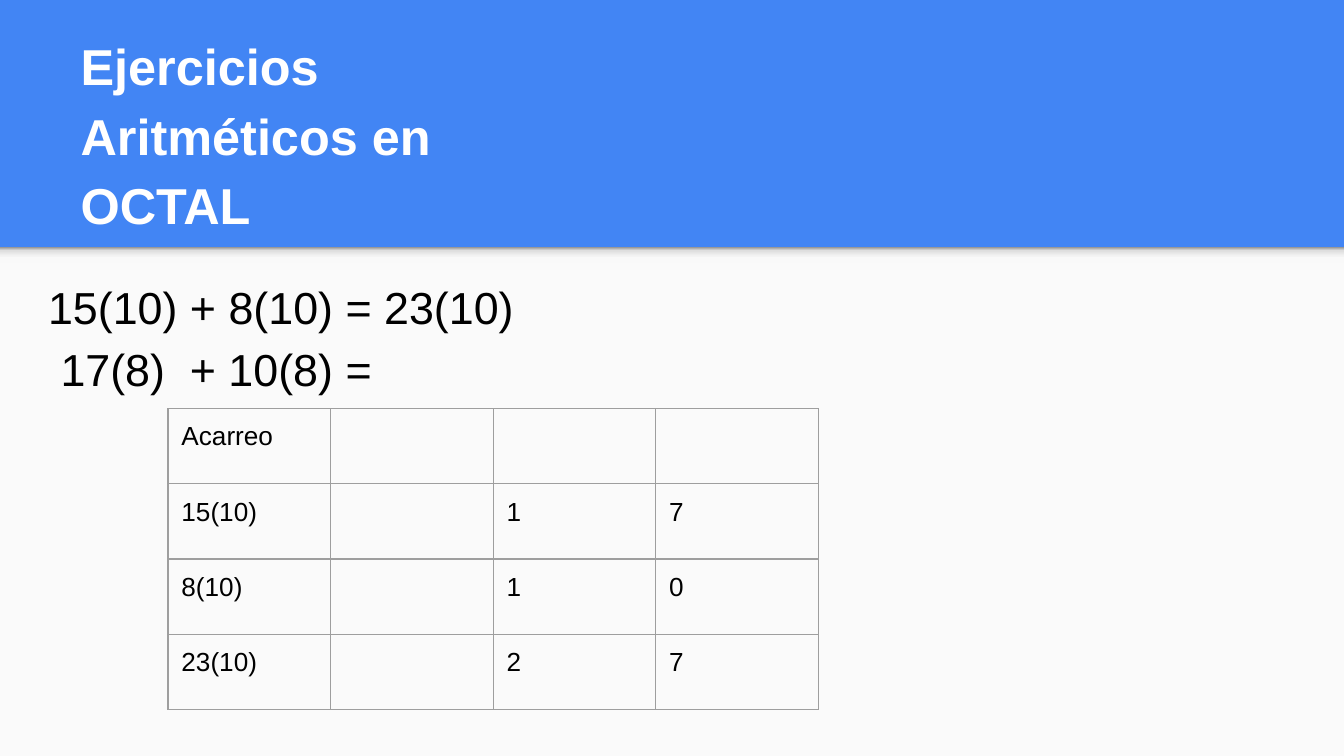
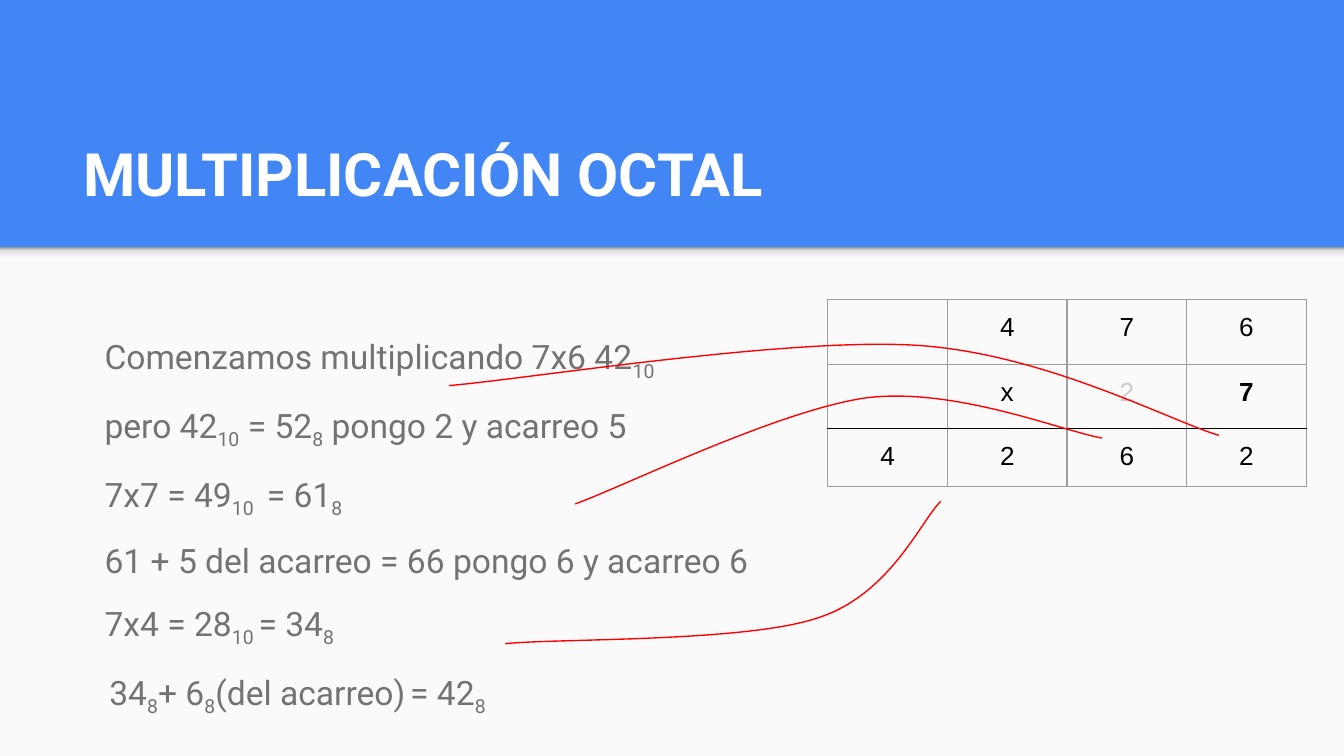
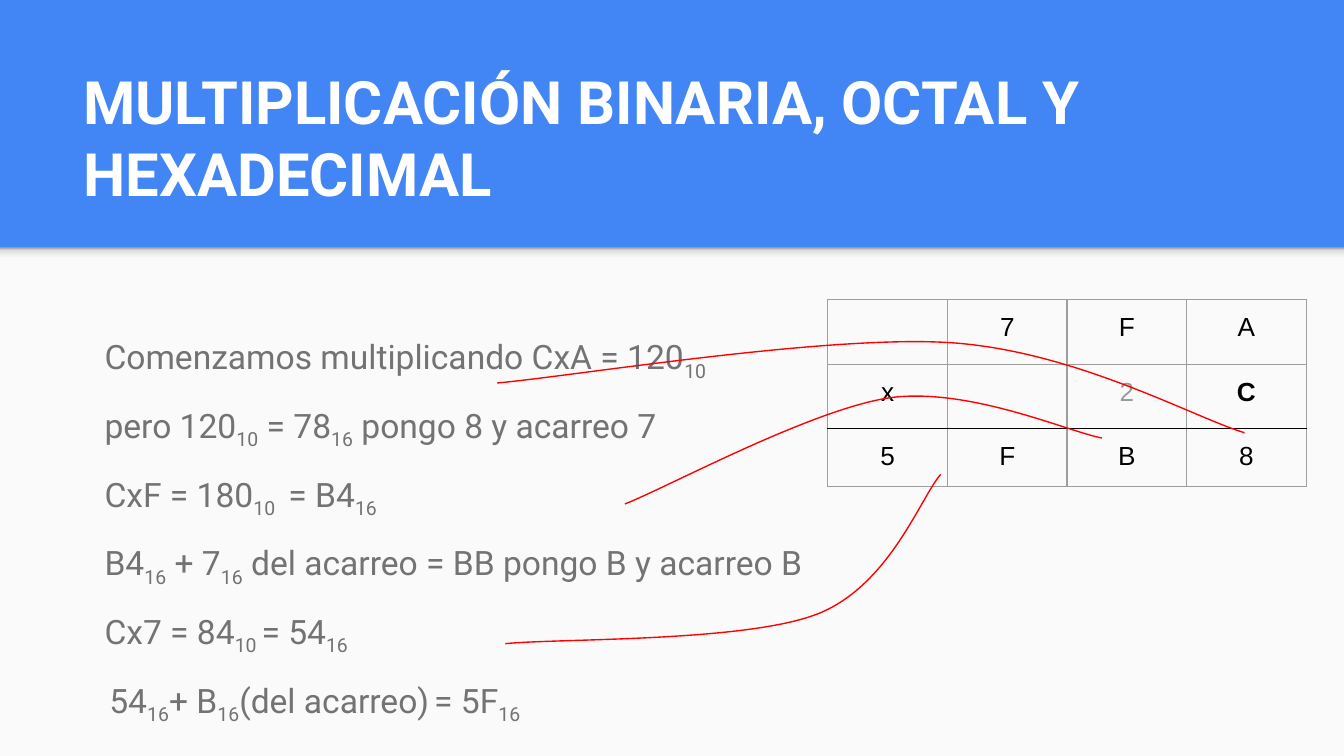
from lxml import etree
from pptx import Presentation
from pptx.dml.color import RGBColor
from pptx.enum.shapes import MSO_SHAPE
from pptx.enum.text import MSO_ANCHOR, MSO_AUTO_SIZE, PP_ALIGN
from pptx.oxml.ns import qn
from pptx.util import Inches, Pt

BLUE = RGBColor(0x42, 0x85, 0xF4)
PAPER = RGBColor(0xFA, 0xFA, 0xFA)
WHITE = RGBColor(0xFF, 0xFF, 0xFF)
BLACK = RGBColor(0x00, 0x00, 0x00)
BODY_GREY = RGBColor(0x73, 0x73, 0x73)
GRID_GREY = RGBColor(0x9E, 0x9E, 0x9E)
LIGHT_GREY = RGBColor(0xCC, 0xCC, 0xCC)
MID_GREY = RGBColor(0x99, 0x99, 0x99)
RED = RGBColor(0xFF, 0x00, 0x00)
SHADOW_STOPS = [(0, "F9F9F9"), (36, "F9F9F9"), (80, "DEDEDE"), (100, "999999")]

WIDTH = 10
HEIGHT = WIDTH * 9 / 16
BAND_BOTTOM = 1.84
TITLE_BOX = (0.52, 0.81, 8.99, 0.84)
BODY_BOX = (0.68, 2.23, 8.97, 2.91)


def set_font(font, name, size, color, bold=False):
    font.name, font.size, font.bold = name, Pt(size), bold
    font.color.rgb = color


def solid(fill, color):
    fill.solid()
    fill.fore_color.rgb = color


def place(sp, left, top, width, height):
    sp.left, sp.top = Inches(left), Inches(top)
    sp.width, sp.height = Inches(width), Inches(height)


def add_panel(slide, top, height):
    sp = slide.shapes.add_shape(MSO_SHAPE.RECTANGLE, 0, Inches(top),
                                Inches(WIDTH), Inches(height))
    sp.shadow.inherit = False
    sp.line.fill.background()
    return sp


def style_layout(prs, layout, slide):
    """Give the layout its blue ground, pale panel and shadow strip."""
    solid(prs.slide_master.background.fill, BLUE)
    panel = add_panel(slide, BAND_BOTTOM, HEIGHT - BAND_BOTTOM)
    solid(panel.fill, PAPER)
    strip = add_panel(slide, BAND_BOTTOM, 0.12)
    strip.fill.gradient()
    strip.fill.gradient_angle = 90
    stops = strip.element.spPr.find(".//" + qn("a:gsLst"))
    for stop in list(stops):
        stops.remove(stop)
    for pos, color in SHADOW_STOPS:
        gs = etree.SubElement(stops, qn("a:gs"), pos=str(pos * 1000))
        etree.SubElement(gs, qn("a:srgbClr"), val=color)
    for sp in (panel, strip):
        layout.shapes.element.append(sp.element)


def add_marked_runs(p, text):
    """Fill a paragraph; text between bars is subscript, newlines are breaks."""
    for i, part in enumerate(text.split("|")):
        for j, piece in enumerate(part.split("\n")):
            if j:
                p.add_line_break()
            if piece:
                r = p.add_run()
                r.text = piece
                if i % 2:
                    r.font._element.set("baseline", "-25000")


def write(tf, lines, font, spacing=1.0, anchor=MSO_ANCHOR.TOP):
    tf.word_wrap = True
    tf.auto_size = MSO_AUTO_SIZE.NONE
    tf.vertical_anchor = anchor
    tf.margin_left = tf.margin_right = Inches(0.1)
    tf.margin_top = tf.margin_bottom = Inches(0.1)
    for i, line in enumerate(lines):
        p = tf.add_paragraph() if i else tf.paragraphs[0]
        p.alignment = PP_ALIGN.LEFT
        p.line_spacing = spacing
        add_marked_runs(p, line)
        set_font(p.font, *font)


def set_title(slide, lines, font, box=TITLE_BOX, **style):
    title = slide.shapes.title
    place(title, *box)
    write(title.text_frame, lines, font, **style)


def add_text(slide, box, lines, font, spacing):
    sp = slide.shapes.add_textbox(*map(Inches, box))
    write(sp.text_frame, lines, font, spacing)


def set_border(cell, side, color):
    tcPr = cell._tc.get_or_add_tcPr()
    ln = etree.SubElement(tcPr, qn("a:ln" + side), w=str(Pt(0.75)))
    fill = etree.SubElement(ln, qn("a:solidFill"))
    etree.SubElement(fill, qn("a:srgbClr"), val=str(color))


def add_grid(slide, left, top, col_width, row_heights, rows, align, rule_row=None):
    """Add a ruled table; the line above rule_row is black."""
    n_cols = len(rows[0])
    table = slide.shapes.add_table(
        len(rows), n_cols, Inches(left), Inches(top),
        Inches(col_width * n_cols), Inches(sum(row_heights))).table
    table.first_row = table.horz_banding = False
    for col in table.columns:
        col.width = Inches(col_width)
    for i, (values, height) in enumerate(zip(rows, row_heights)):
        table.rows[i].height = Inches(height)
        for j, value in enumerate(values):
            cell = table.cell(i, j)
            cell.margin_left = cell.margin_right = Inches(0.1)
            cell.margin_top = cell.margin_bottom = Inches(0.1)
            edges = {"L": None, "R": None, "T": i, "B": i + 1}
            for side, edge in edges.items():
                ruled = edge is not None and edge == rule_row
                set_border(cell, side, BLACK if ruled else GRID_GREY)
            cell.fill.background()
            p = cell.text_frame.paragraphs[0]
            p.alignment = align
            set_font(p.font, "Arial", 14, BLACK)
            if value:
                p.add_run().text = value
            else:
                etree.SubElement(p._p, qn("a:endParaRPr"), sz="1400")
    return table


def add_curve(slide, points):
    """Draw a start point followed by groups of three Bezier points."""
    builder = slide.shapes.build_freeform(*map(Inches, points[0]), scale=1.0)
    builder.add_line_segments([(Inches(x), Inches(y)) for x, y in points[1:]],
                              close=False)
    sp = builder.convert_to_shape()
    sp.shadow.inherit = False
    sp.fill.background()
    sp.line.color.rgb = RED
    sp.line.width = Pt(0.75)
    outline = sp.element.spPr.find(".//" + qn("a:path"))
    segments = outline.findall(qn("a:lnTo"))
    for k in range(0, len(segments), 3):
        bezier = etree.SubElement(outline, qn("a:cubicBezTo"))
        for segment in segments[k:k + 3]:
            bezier.append(segment[0])
            outline.remove(segment)


def add_multiplication(slide, title, steps, rows, faint, curves):
    set_title(slide, [title], ("Roboto", 32, WHITE, True), anchor=MSO_ANCHOR.BOTTOM)
    add_text(slide, BODY_BOX, steps, ("Roboto", 18, BODY_GREY), 1.5)
    table = add_grid(slide, 6.16, 2.23, 0.89, [0.48, 0.48, 0.43], rows,
                     PP_ALIGN.CENTER, rule_row=2)
    table.cell(1, 2).text_frame.paragraphs[0].font.color.rgb = faint
    table.cell(1, 3).text_frame.paragraphs[0].font.bold = True
    for points in curves:
        add_curve(slide, points)


def main():
    prs = Presentation()
    prs.slide_width, prs.slide_height = Inches(WIDTH), Inches(HEIGHT)
    layout = prs.slide_layouts[5]
    addition, octal, hexadecimal = [prs.slides.add_slide(layout) for _ in range(3)]
    style_layout(prs, layout, addition)

    set_title(addition, ["Ejercicios \nAritméticos en", "OCTAL"],
              ("Arial", 27, WHITE, True), box=(0.5, 0.33, 8.99, 1.28),
              spacing=1.15, anchor=MSO_ANCHOR.MIDDLE)
    add_grid(addition, 1.25, 3.04, 1.21, [0.56] * 4,
             [["Acarreo", "", "", ""],
              ["15(10)", "", "1", "7"],
              ["8(10)", "", "1", "0"],
              ["23(10)", "", "2", "7"]], PP_ALIGN.LEFT)
    add_text(addition, (0.26, 1.92, 9.6, 1.12),
             ["15(10) + 8(10) = 23(10)", " 17(8)  + 10(8) ="],
             ("Arial", 24, BLACK), 1.15)

    add_multiplication(
        octal, "MULTIPLICACIÓN OCTAL",
        ["Comenzamos multiplicando 7x6 42|10 \n|pero 42|10| = 52|8| pongo 2 y acarreo 5",
         "7x7 = 49|10 | = 61|8|",
         "61 + 5 del acarreo = 66 pongo 6 y acarreo 6",
         "7x4 = 28|10 |= 34|8|",
         "| |34|8|+ 6|8|(del acarreo)| |= 42|8|"],
        [["", "4", "7", "6"], ["", "x", "2", "7"], ["4", "2", "6", "2"]],
        LIGHT_GREY,
        [[(3.34, 2.87), (3.92, 2.82), (5.86, 2.51), (6.82, 2.57),
          (7.77, 2.63), (8.7, 3.13), (9.07, 3.24)],
         [(4.28, 3.75), (4.64, 3.62), (5.8, 3.05), (6.45, 2.96),
          (7.11, 2.88), (7.91, 3.21), (8.2, 3.26)],
         [(3.76, 4.79), (4.15, 4.75), (5.54, 4.78), (6.08, 4.6),
          (6.62, 4.43), (6.85, 3.88), (7, 3.73)]])

    add_multiplication(
        hexadecimal, "MULTIPLICACIÓN BINARIA, OCTAL Y HEXADECIMAL",
        ["Comenzamos multiplicando CxA = 120|10 \n|pero 120|10| = 78|16| pongo 8 y acarreo 7",
         "CxF = 180|10 | = B4|16|",
         "B4|16| + 7|16| del acarreo = BB pongo B y acarreo B",
         "Cx7 = 84|10 |= 54|16|",
         "| |54|16|+ B|16|(del acarreo)| |= 5F|16|"],
        [["", "7", "F", "A"], ["x", "", "2", "C"], ["5", "F", "B", "8"]],
        MID_GREY,
        [[(3.7, 2.85), (4.26, 2.8), (6.15, 2.49), (7.07, 2.55),
          (8, 2.61), (8.89, 3.11), (9.26, 3.22)],
         [(4.65, 3.75), (4.98, 3.62), (6.03, 3.05), (6.62, 2.96),
          (7.21, 2.88), (7.94, 3.21), (8.2, 3.26)],
         [(3.76, 4.79), (4.15, 4.75), (5.54, 4.78), (6.08, 4.57),
          (6.62, 4.36), (6.85, 3.7), (7, 3.53)]])

    prs.save("out.pptx")


if __name__ == "__main__":
    main()
